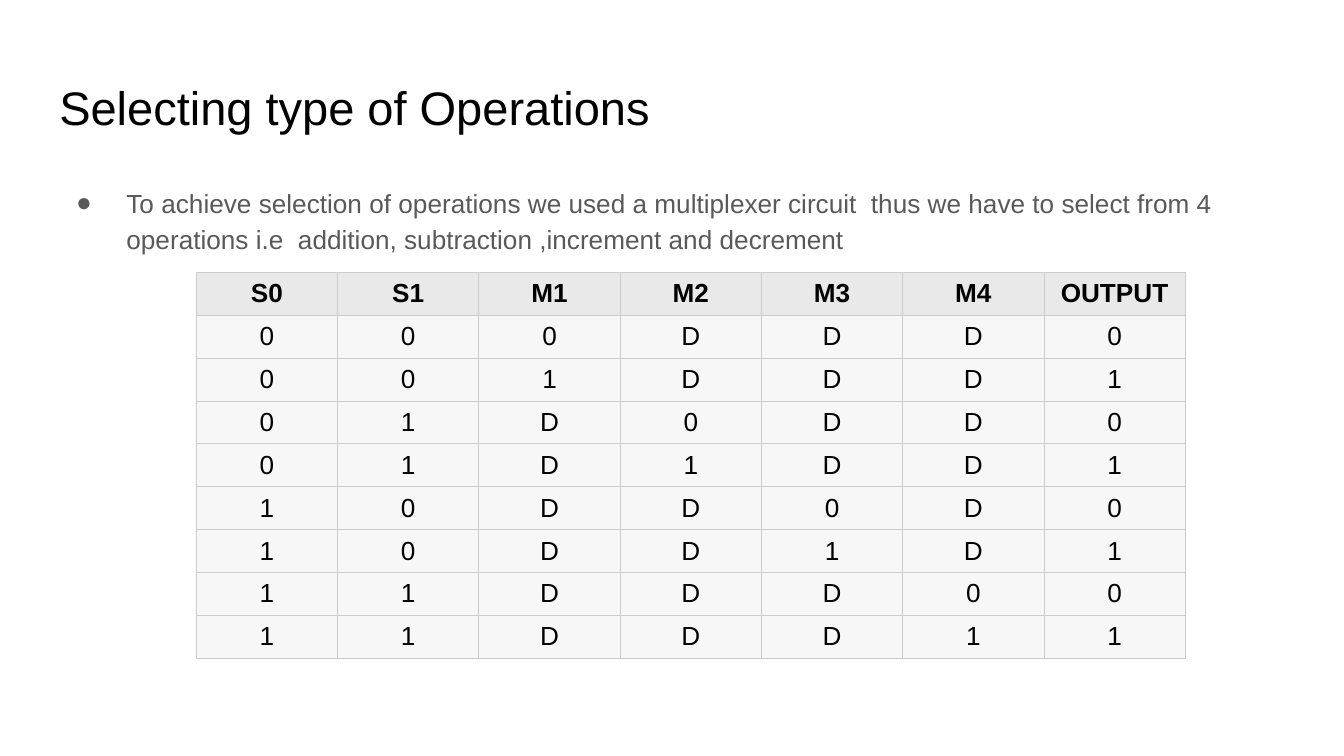
import itertools

import lxml.etree
import pptx
import pptx.dml.color
import pptx.enum.text
import pptx.oxml.ns
import pptx.util

Cm = pptx.util.Cm
Pt = pptx.util.Pt
qn = pptx.oxml.ns.qn

FONT = "Arial"
BLACK, GREY = "000000", "595959"
HEADER_FILL, BODY_FILL, BORDER = "E9E9E9", "F7F7F7", "CCCCCC"


def color(value):
    return pptx.dml.color.RGBColor.from_string(value)


def set_all(target, values):
    for name, value in values.items():
        setattr(target, name, value)


def write(paragraph, text, size, font_color, bold=False):
    run = paragraph.add_run()
    run.text = text
    set_all(run.font, {"name": FONT, "size": Pt(size), "bold": bold})
    run.font.color.rgb = color(font_color)


def format_frame(shape, box):
    """Place a text shape and return its first paragraph."""
    set_all(shape, dict(zip(("left", "top", "width", "height"), map(Cm, box))))
    frame = shape.text_frame
    set_all(frame, {
        "word_wrap": True,
        "auto_size": pptx.enum.text.MSO_AUTO_SIZE.NONE,
        "vertical_anchor": pptx.enum.text.MSO_ANCHOR.TOP,
    })
    for side in ("left", "top", "right", "bottom"):
        setattr(frame, f"margin_{side}", Cm(0.25))
    paragraph = frame.paragraphs[0]
    paragraph.alignment = pptx.enum.text.PP_ALIGN.LEFT
    return paragraph


def add_title(slide, box, text):
    write(format_frame(slide.shapes.title, box), text, 25.2, BLACK)


def add_bullet(slide, box, text):
    paragraph = format_frame(slide.shapes.add_textbox(*map(Cm, box)), box)
    paragraph.line_spacing = 1.15
    write(paragraph, text, 14, GREY)
    # Bullet with a hanging indent
    properties = paragraph._p.get_or_add_pPr()
    properties.set("marL", str(Cm(1.27)))
    properties.set("indent", str(-Cm(0.95)))
    bullet_color = lxml.etree.SubElement(properties, qn("a:buClr"))
    lxml.etree.SubElement(bullet_color, qn("a:srgbClr"), val=GREY)
    lxml.etree.SubElement(properties, qn("a:buFont"), typeface=FONT)
    lxml.etree.SubElement(properties, qn("a:buChar"), char="●")


def add_borders(cell):
    properties = cell._tc.get_or_add_tcPr()
    for side in ("lnL", "lnR", "lnT", "lnB"):
        line = lxml.etree.SubElement(properties, qn(f"a:{side}"), w=str(Pt(0.5)))
        fill = lxml.etree.SubElement(line, qn("a:solidFill"))
        lxml.etree.SubElement(fill, qn("a:srgbClr"), val=BORDER)


def multiplexer_rows():
    """S0 and S1 pick one input; the others are don't-care (D)."""
    yield ["S0", "S1", "M1", "M2", "M3", "M4", "OUTPUT"]
    for s0, s1, value in itertools.product((0, 1), repeat=3):
        inputs = ["D"] * 4
        inputs[2 * s0 + s1] = str(value)
        yield [str(s0), str(s1), *inputs, str(value)]


def add_truth_table(slide, box, rows):
    shape = slide.shapes.add_table(len(rows), len(rows[0]), *map(Cm, box))
    table = shape.table
    for column in table.columns:
        column.width = Cm(box[2] / len(rows[0]))
    for row in table.rows:
        row.height = Cm(box[3] / len(rows))
    for row_index, values in enumerate(rows):
        header = row_index == 0
        for column_index, text in enumerate(values):
            cell = table.cell(row_index, column_index)
            set_all(cell, {
                "margin_left": Cm(0.12), "margin_right": Cm(0.12),
                "margin_top": Cm(0.12), "margin_bottom": Cm(0.12),
                "vertical_anchor": pptx.enum.text.MSO_ANCHOR.MIDDLE,
            })
            add_borders(cell)
            cell.fill.solid()
            cell.fill.fore_color.rgb = color(HEADER_FILL if header else BODY_FILL)
            paragraph = cell.text_frame.paragraphs[0]
            paragraph.alignment = pptx.enum.text.PP_ALIGN.CENTER
            write(paragraph, text, 14, BLACK, bold=header)


def main():
    presentation = pptx.Presentation()
    set_all(presentation, {"slide_width": Cm(25.4), "slide_height": Cm(14.29)})
    slide = presentation.slides.add_slide(presentation.slide_layouts.get_by_name("Title Only"))

    # Boxes are left, top, width, height in centimetres
    add_title(slide, (0.87, 1.24, 23.67, 1.59), "Selecting type of Operations")
    add_bullet(
        slide, (0.87, 3.2, 23.67, 9.49),
        "To achieve selection of operations we used a multiplexer circuit  thus we have "
        "to select from 4 operations i.e  addition, subtraction ,increment and decrement",
    )
    add_truth_table(slide, (3.71, 5.15, 18.69, 7.29), list(multiplexer_rows()))

    presentation.save("out.pptx")


if __name__ == "__main__":
    main()
